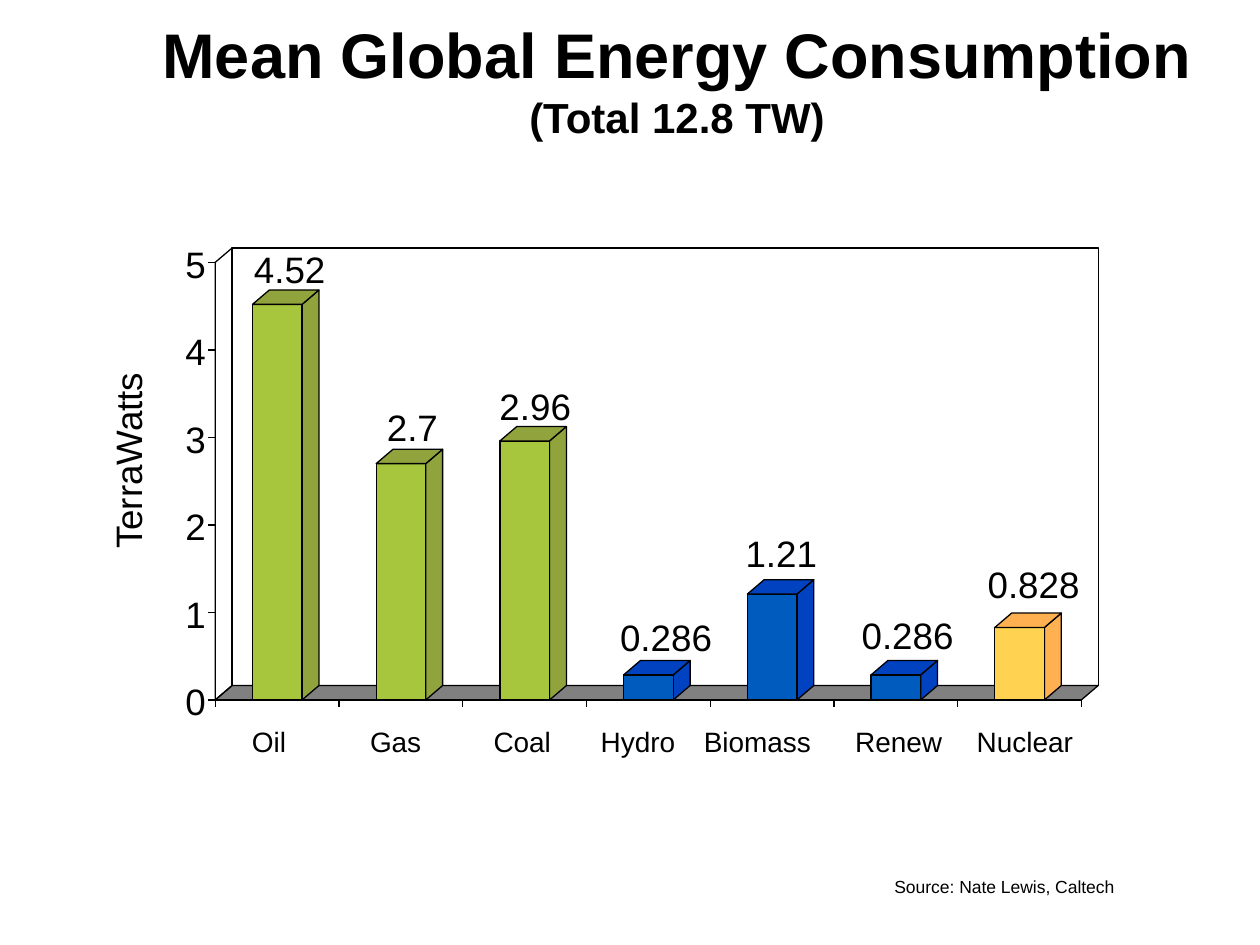
from dataclasses import dataclass
from typing import Optional

from lxml.etree import SubElement
from pptx import Presentation
from pptx.dml.color import RGBColor
from pptx.enum.shapes import MSO_CONNECTOR, MSO_SHAPE
from pptx.enum.text import MSO_ANCHOR, MSO_AUTO_SIZE, PP_ALIGN
from pptx.oxml.ns import qn
from pptx.util import Cm, Pt

HUES = {
    "ink": "000000",
    "floor": "808080",
    "fossil": "A7C63D",
    "fossil side": "90A33D",
    "green": "005BBF",
    "green side": "0042BF",
    "atom": "FFD251",
    "atom side": "FFB051",
}
FONT = "Arial"
LEFT, BASE = 4.34, 14.11
WIDE, HIGH = 17.46, 8.82
TOP = 5
DEEP, RISE = 0.34, 0.29
TICK = 0.15
STEP = HIGH / TOP


@dataclass
class Bar:
    name: str
    name_x: float
    name_w: float
    value: str
    value_x: float
    value_y: float
    hue: str
    pad: float = 0


BARS = [
    Bar("Oil", 5.08, 0.7, "4.52", 5.12, 4.98, "fossil"),
    Bar("Gas", 7.46, 1.06, "2.7", 7.8, 8.15, "fossil", 0.25),
    Bar("Coal", 9.95, 1.18, "2.96", 10.07, 7.73, "fossil"),
    Bar("Hydro", 12.11, 1.53, "0.286", 12.5, 12.4, "green", 0.25),
    Bar("Biomass", 14.19, 2.17, "1.21", 15.03, 10.69, "green"),
    Bar("Renew", 17.24, 1.78, "0.286", 17.37, 12.35, "green", 0.25),
    Bar("Nuclear", 19.69, 1.96, "0.828", 19.91, 11.33, "atom"),
]
PITCH = WIDE / len(BARS)
FRONT, INSET = 1.0, 0.75

deck = Presentation()
deck.slide_width, deck.slide_height = Cm(25.4), Cm(19.05)
slide = deck.slides.add_slide(deck.slide_layouts[6])
shapes = slide.shapes


def tint(hue: str) -> RGBColor:
    return RGBColor.from_string(HUES[hue])


def paint(shape, fill: Optional[str]) -> None:
    shape.shadow.inherit = False
    if fill:
        shape.fill.solid()
        shape.fill.fore_color.rgb = tint(fill)
    else:
        shape.fill.background()
    shape.line.color.rgb = tint("ink")
    shape.line.width = Pt(0.75)


def block(x: float, y: float, w: float, h: float, fill: Optional[str] = None) -> None:
    paint(shapes.add_shape(MSO_SHAPE.RECTANGLE, Cm(x), Cm(y), Cm(w), Cm(h)), fill)


def facet(spots: list[tuple[float, float]], fill: Optional[str] = None) -> None:
    first, *rest = [(Cm(x), Cm(y)) for x, y in spots]
    pen = shapes.build_freeform(*first)
    pen.add_line_segments(rest, close=True)
    paint(pen.convert_to_shape(), fill)


def slab(x: float, y: float, w: float, fill: str) -> None:
    facet([(x, y), (x + DEEP, y - RISE), (x + w + DEEP, y - RISE), (x + w, y)], fill)


def flank(x: float, top: float, fill: Optional[str] = None) -> None:
    facet([(x, BASE), (x, top), (x + DEEP, top - RISE), (x + DEEP, BASE - RISE)], fill)


def rule(x1: float, y1: float, x2: float, y2: float) -> None:
    line = shapes.add_connector(MSO_CONNECTOR.STRAIGHT, Cm(x1), Cm(y1), Cm(x2), Cm(y2))
    line.line.color.rgb = tint("ink")
    line.line.width = Pt(0.75)
    SubElement(line._element.spPr, qn("a:effectLst"))


def label(text: str, x: float, y: float, w: float, h: float, size: int,
          pad: float = 0, turn: int = 0, wrap: bool = False) -> None:
    box = shapes.add_textbox(Cm(x - pad), Cm(y - pad / 2), Cm(w + 2 * pad), Cm(h + pad))
    box.rotation = turn
    frame = box.text_frame
    frame.word_wrap = wrap
    frame.auto_size = MSO_AUTO_SIZE.SHAPE_TO_FIT_TEXT
    frame.margin_left = frame.margin_right = Cm(pad)
    frame.margin_top = frame.margin_bottom = Cm(pad / 2)
    line = frame.paragraphs[0]
    line.text = text
    line.font.name, line.font.size = FONT, Pt(size)
    line.font.color.rgb = tint("ink")


def title(*lines: tuple[str, int]) -> None:
    frame = shapes.add_textbox(Cm(1.9), Cm(0), Cm(23.5), Cm(3.18)).text_frame
    frame.word_wrap = True
    frame.vertical_anchor = MSO_ANCHOR.MIDDLE
    head = frame.paragraphs[0]
    head.alignment = PP_ALIGN.CENTER
    for spot, (text, size) in enumerate(lines):
        if spot:
            head.add_line_break()
        run = head.add_run()
        run.text = text
        run.font.name, run.font.size, run.font.bold = FONT, Pt(size), True
        run.font.color.rgb = tint("ink")


def column(bar: Bar, x: float) -> None:
    tall = float(bar.value) * STEP
    top = BASE - tall
    side = f"{bar.hue} side"
    flank(x + FRONT, top, side)
    block(x, top, FRONT, tall, bar.hue)
    slab(x, top, FRONT, side)
    label(bar.value, bar.value_x, bar.value_y, 0.41 * len(bar.value) - 0.19, 0.89, 21)
    label(bar.name, bar.name_x, 14.61, bar.name_w, 0.69, 16, bar.pad)


def main() -> None:
    title(("Mean Global Energy Consumption", 36), ("(Total 12.8 TW)", 24))
    slab(LEFT, BASE, WIDE, "floor")
    flank(LEFT, BASE - HIGH)
    block(LEFT + DEEP, BASE - HIGH - RISE, WIDE, HIGH)
    for spot, bar in enumerate(BARS):
        column(bar, LEFT + INSET + spot * PITCH)

    rule(LEFT, BASE, LEFT, BASE - HIGH)
    for mark in range(TOP + 1):
        y = BASE - mark * STEP
        rule(LEFT, y, LEFT - TICK, y)
        label(str(mark), 3.74, y - 0.42, 0.41, 0.89, 21)
    label("TerraWatts", 0.74, 8.79, 3.66, 0.89, 21, turn=270)

    rule(LEFT, BASE, LEFT + WIDE, BASE)
    for mark in range(len(BARS) + 1):
        x = LEFT + mark * PITCH
        rule(x, BASE, x, BASE + TICK)
    label("Source: Nate Lewis, Caltech", 18.03, 17.65, 5.65, 0.43, 10, pad=0.25, wrap=True)
    deck.save("out.pptx")


if __name__ == "__main__":
    main()
